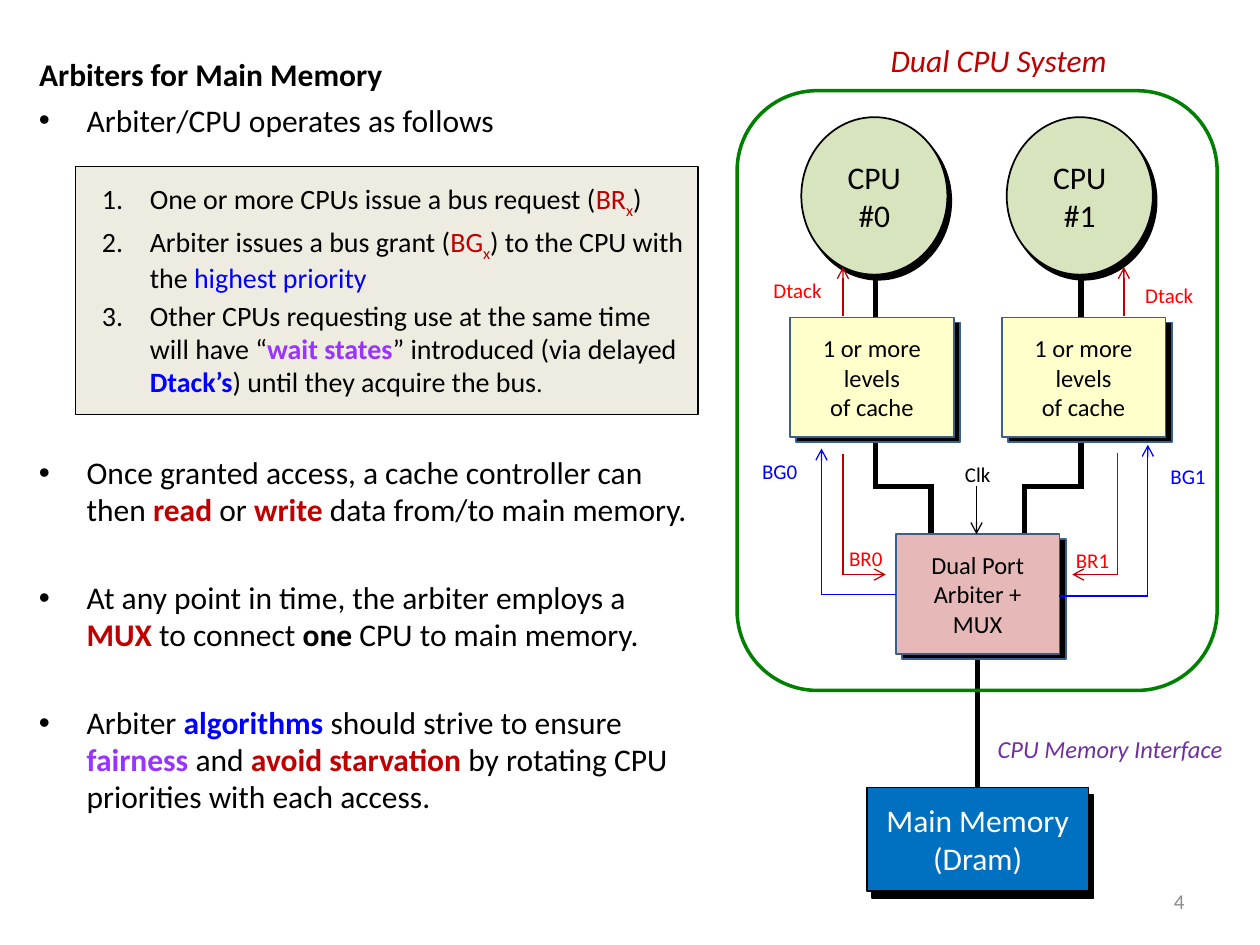
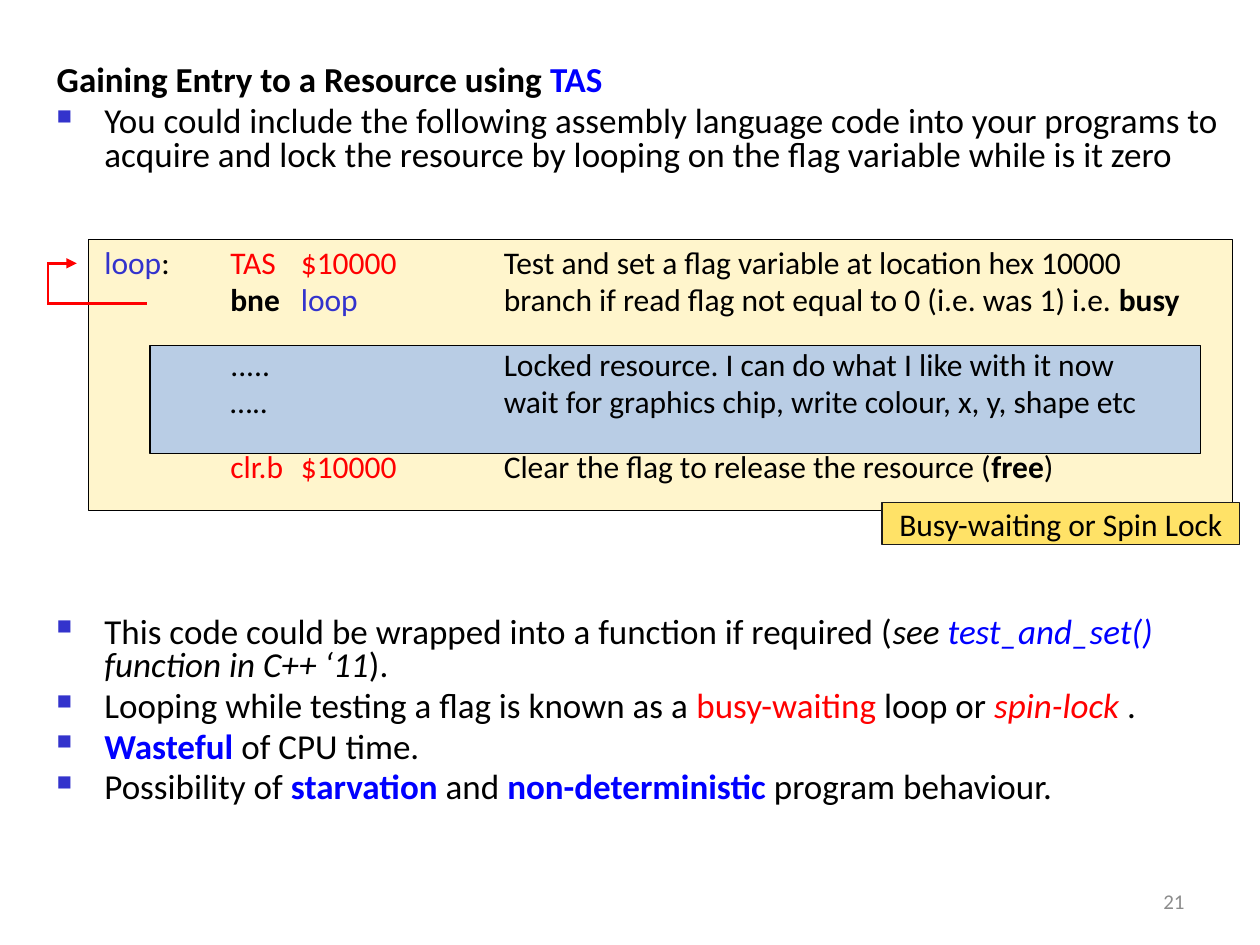
import pptx
import pptx.util
import pptx.dml.color
import pptx.enum.shapes
import pptx.enum.text
import pptx.oxml
import pptx.oxml.ns

Inches, Pt = pptx.util.Inches, pptx.util.Pt
SHAPE = pptx.enum.shapes.MSO_SHAPE
ALIGN = pptx.enum.text.PP_ALIGN
ANCHOR = pptx.enum.text.MSO_ANCHOR
FONT = "Calibri"

COLORS = {
    "black": "000000", "white": "FFFFFF", "grey": "8C8C8C", "red": "FF0000",
    "dark red": "C00000", "blue": "0000FF", "indigo": "3333CC", "violet": "9933FF",
    "purple": "7030A0", "green": "008000", "edge": "3A5F8C", "beige": "EEECE1",
    "cpu": "D7E4BD", "cache": "FFFFCC", "arbiter": "E6B9B8", "memory": "0070C0",
    "code": "FFF5CC", "locked": "B9CDE5", "tag": "FFE267", "tag edge": "1C1C1C",
}

# Run styles
RED = {"color": "dark red"}
SUB = {"color": "dark red", "baseline": -25000}
BRIGHT = {"color": "red"}
BLUE = {"color": "blue"}
INDIGO = {"color": "indigo"}
BOLD = {"bold": True}
ITALIC = {"italic": True}
BOLD_RED, BOLD_BLUE = {**RED, **BOLD}, {**BLUE, **BOLD}
BOLD_VIOLET = {"color": "violet", **BOLD}

# Content: a paragraph is a string or a list of strings and (string, style) pairs
ARBITER_TITLE = ["Arbiters for Main Memory"]
ARBITER_INTRO = ["Arbiter/CPU operates as follows"]
ARBITER_STEPS = [
    ["One or more CPUs issue a bus request (", ("BR", RED), ("x", SUB), ")"],
    ["Arbiter issues a bus grant (", ("BG", RED), ("x", SUB), ") to the CPU with the ",
     ("highest priority", BLUE)],
    ["Other CPUs requesting use at the same time will have “", ("wait states", BOLD_VIOLET),
     "” introduced (via delayed ", ("Dtack’s", BOLD_BLUE), ") until they acquire the bus",
     (".", {"size": 14})],
]
ARBITER_POINTS = [
    ["Once granted access, a cache controller can then ", ("read", BOLD_RED), " or ",
     ("write", BOLD_RED), " data from/to main memory."],
    ["At any point in time, the arbiter employs a ", ("MUX ", BOLD_RED), "to connect ",
     ("one", BOLD), " CPU to main memory."],
    ["Arbiter ", ("algorithms", BOLD_BLUE), " should strive to ensure ",
     ("fairness", BOLD_VIOLET), " and ", ("avoid starvation", BOLD_RED),
     " by rotating CPU priorities with each access."],
]
# text, left, top, width, size, style
DIAGRAM_LABELS = [
    ("Dual CPU System", 6.97, 0.28, 1.93, 18, {**RED, **ITALIC}),
    ("CPU Memory Interface", 7.82, 5.78, 2.0, 14, {"color": "purple", **ITALIC}),
    ("BG0", 5.95, 3.59, 0.49, 12, BLUE),
    ("BG1", 9.19, 3.63, 0.49, 12, BLUE),
    ("Clk", 7.56, 3.61, 0.41, 12, {}),
    ("BR0", 6.64, 4.28, 0.47, 12, BRIGHT),
    ("BR1", 8.44, 4.3, 0.47, 12, BRIGHT),
    ("Dtack", 6.04, 2.15, 0.58, 12, BRIGHT),
    ("Dtack", 8.99, 2.19, 0.58, 12, BRIGHT),
]
# points, colour
BUSES = [
    [(7.76, 6.54), (7.76, 4.83)],
    [(6.95, 1.76), (6.95, 3.86), (7.39, 3.86), (7.39, 4.56)],
    [(8.58, 1.76), (8.58, 3.86), (8.13, 3.86), (8.13, 4.56)],
]
SIGNALS = [
    ([(7.11, 4.72), (6.52, 4.72), (6.52, 3.56)], "blue"),
    ([(8.41, 4.73), (9.11, 4.73), (9.11, 3.53)], "blue"),
    ([(6.69, 3.61), (6.69, 4.56), (7.03, 4.56)], "dark red"),
    ([(8.87, 3.6), (8.87, 4.56), (8.51, 4.56)], "dark red"),
    ([(6.69, 2.5), (6.69, 2.12)], "dark red"),
    ([(8.92, 2.5), (8.92, 2.12)], "dark red"),
    ([(7.75, 3.86), (7.75, 4.24)], "black"),
]
# kind, text, box, fill, line, shadow offset, font size, font colour
UNITS = [
    *[(SHAPE.OVAL, [f"CPU #{n}"], (x, 0.93, 1.16, 1.25), "cpu", "black", (0.03, 0.04),
       18, "black") for n, x in enumerate((6.36, 7.99))],
    *[(SHAPE.RECTANGLE, ["1 or more levels", "of cache"], (x, 2.52, 1.3, 0.95), "cache",
       "edge", (0.05, 0.04), 14, "black") for x in (6.27, 7.95)],
    (SHAPE.RECTANGLE, ["Dual Port Arbiter + MUX"], (7.11, 4.24, 1.3, 0.95), "arbiter",
     "edge", (0.05, 0.04), 14, "black"),
    (SHAPE.RECTANGLE, ["Main Memory (Dram)"], (6.88, 6.25, 1.76, 0.82), "memory",
     "black", (0.04, 0.06), 18, "white"),
]

TAS_TITLE = [["Gaining Entry to a Resource using ", ("TAS", BLUE)]]
TAS_INTRO = ["You could include the following assembly language code into your programs to "
             "acquire and lock the resource by looping on the flag variable while is it zero"]
# Columns: label, instruction, operand, comment
TAS_CODE = [
    [("loop", INDIGO), ":\t", ("TAS\t$10000", BRIGHT),
     "\tTest and set a flag variable at location hex 10000"],
    ["\t", ("bne", BOLD), "\t", ("loop", INDIGO),
     "\tbranch if read flag not equal to 0 (i.e. was 1) i.e. ", ("busy", BOLD)],
    "\t.....\t\tLocked resource. I can do what I like with it now",
    "\t…..\t\twait for graphics chip, write colour, x, y, shape etc",
    ["\t", ("clr.b\t$10000", BRIGHT), "\tClear the flag to release the resource (",
     ("free", BOLD), ")"],
]
CODE_TABS = (1.0, 1.56, 3.17)
CODE_GAPS = {2: 20, 4: 20}
TAS_POINTS = [
    ["This code could be wrapped into a function if required (", ("see ", ITALIC),
     ("test_and_set()", {**BLUE, **ITALIC}), (" function in C++ ‘11", ITALIC), ")."],
    ["Looping while testing a flag is known as a ", ("busy-waiting", BRIGHT), " loop or ",
     ("spin-lock", {**BRIGHT, **ITALIC}), " ."],
    [("Wasteful", BOLD_BLUE), " of CPU time."],
    ["Possibility of ", ("starvation ", BOLD_BLUE), "and ",
     ("non-deterministic ", BOLD_BLUE), "program behaviour."],
]

# Paragraph properties that need XML
DOT = '<a:buFont {ns} typeface="Arial"/>', '<a:buChar {ns} char="•"/>'
NUMBER = ('<a:buFont {ns} typeface="+mj-lt"/>', '<a:buAutoNum {ns} type="arabicPeriod"/>')
SQUARE = (f'<a:buClr {{ns}}><a:srgbClr val="{COLORS["indigo"]}"/></a:buClr>',
          '<a:buSzPct {ns} val="60000"/>', '<a:buChar {ns} char="■"/>')


def add_xml(parent, *fragments):
    for fragment in fragments:
        parent.append(pptx.oxml.parse_xml(fragment.format(ns=pptx.oxml.ns.nsdecls("a"))))


def rgb(name):
    return pptx.dml.color.RGBColor.from_string(COLORS[name])


def write(frame, paragraphs, size=18, color="black", bold=False, italic=False,
          align=ALIGN.LEFT, anchor=ANCHOR.TOP, wrap=True, bullet=None, spacing=None,
          gap=0, gaps=None, tabs=()):
    frame.word_wrap, frame.vertical_anchor = wrap, anchor
    frame.auto_size = pptx.enum.text.MSO_AUTO_SIZE.NONE
    for i, runs in enumerate(paragraphs):
        para = frame.paragraphs[0] if i == 0 else frame.add_paragraph()
        para.alignment = align
        if spacing:
            para.line_spacing = spacing
        para.space_before = Pt((gaps or {}).get(i, gap) if i else 0)
        props = para._p.get_or_add_pPr()
        if bullet:
            props.set("marL", str(Inches(0.38)))
            props.set("indent", str(-Inches(0.38)))
            add_xml(props, *bullet)
        if tabs:
            stops = "".join(f'<a:tab pos="{Inches(t)}" algn="l"/>' for t in tabs)
            add_xml(props, f"<a:tabLst {{ns}}>{stops}</a:tabLst>")
        for part in [runs] if isinstance(runs, str) else runs:
            words, style = (part, {}) if isinstance(part, str) else part
            run = para.add_run()
            run.text = words
            run.font.name = FONT
            run.font.size = Pt(style.get("size", size))
            run.font.bold = style.get("bold", bold)
            run.font.italic = style.get("italic", italic)
            run.font.color.rgb = rgb(style.get("color", color))
            if "baseline" in style:
                run.font._element.set("baseline", str(style["baseline"]))


def add_text(slide, box, paragraphs, **fmt):
    write(slide.shapes.add_textbox(*map(Inches, box)).text_frame, paragraphs, **fmt)


def add_box(slide, kind, box, fill=None, line="black", width=0.75):
    shape = slide.shapes.add_shape(kind, *map(Inches, box))
    shape.shadow.inherit = False
    if fill:
        shape.fill.solid()
        shape.fill.fore_color.rgb = rgb(fill)
    else:
        shape.fill.background()
    shape.line.color.rgb = rgb(line)
    shape.line.width = Pt(width)
    return shape


def add_wire(slide, points, color="black", width=0.75, arrow=None):
    """Join the points with straight segments; the arrowhead goes on the last."""
    for start, end in zip(points, points[1:]):
        wire = slide.shapes.add_connector(
            pptx.enum.shapes.MSO_CONNECTOR.STRAIGHT, *map(Inches, (*start, *end)))
        wire.line.color.rgb = rgb(color)
        wire.line.width = Pt(width)
        outline = wire.line._get_or_add_ln()
        outline.set("cap", "sq")
        if arrow and end == points[-1]:
            add_xml(outline, f'<a:tailEnd {{ns}} type="{arrow}"/>')
        add_xml(wire._element.spPr, "<a:effectLst {ns}/>")


def add_slide(deck, title, box, number, **fmt):
    slide = deck.slides.add_slide(deck.slide_layouts[5])
    heading = slide.shapes.title
    heading.left, heading.top, heading.width, heading.height = map(Inches, box)
    write(heading.text_frame, title, bold=True, **fmt)
    add_text(slide, (7.17, 6.95, 2.33, 0.4), [str(number)], size=12, color="grey",
             align=ALIGN.RIGHT, anchor=ANCHOR.MIDDLE)
    return slide


def build_arbiter_slide(deck):
    slide = add_slide(deck, ARBITER_TITLE, (0.21, 0.39, 5.4, 0.4), 4)

    # Explanation
    add_text(slide, (0.21, 0.75, 5.4, 0.4), ARBITER_INTRO, bullet=DOT)
    steps = add_box(slide, SHAPE.RECTANGLE, (0.6, 1.32, 4.94, 1.97), "beige").text_frame
    steps.margin_left, steps.margin_right = Inches(0.21), Inches(0.05)
    steps.margin_top = Inches(0.12)
    write(steps, ARBITER_STEPS, size=16, bullet=NUMBER, gap=3.2, spacing=0.98)
    add_text(slide, (0.21, 3.56, 5.4, 3.1), ARBITER_POINTS, bullet=DOT, gap=29, spacing=0.98)

    # Dual CPU diagram
    for points in BUSES:
        add_wire(slide, points, width=3)
    for kind, words, box, fill, line, (dx, dy), size, color in UNITS:
        left, top, *extent = box
        add_box(slide, kind, (left + dx, top + dy, *extent), "black", line, 1)
        unit = add_box(slide, kind, box, fill, line, 1)
        write(unit.text_frame, words, size=size, color=color, align=ALIGN.CENTER,
              anchor=ANCHOR.MIDDLE)
    add_box(slide, SHAPE.ROUNDED_RECTANGLE, (5.85, 0.72, 3.81, 4.76), line="green", width=2)
    for points, color in SIGNALS:
        add_wire(slide, points, color, arrow="arrow")
    for words, left, top, width, size, style in DIAGRAM_LABELS:
        add_text(slide, (left, top, width, size / 45), [words], size=size, wrap=False, **style)


def build_tas_slide(deck):
    slide = add_slide(deck, TAS_TITLE, (0.35, 0.47, 9.42, 0.4), 21, size=20, spacing=0.8)
    points = {"size": 20, "spacing": 0.8, "gap": 4, "bullet": SQUARE}
    add_text(slide, (0.35, 0.8, 9.42, 0.7), TAS_INTRO, **points)

    # Code listing with its locked section and loop arrow
    add_box(slide, SHAPE.RECTANGLE, (0.7, 1.9, 9.08, 2.15), "code")
    add_box(slide, SHAPE.RECTANGLE, (1.19, 2.74, 8.34, 0.86), "locked")
    add_text(slide, (0.73, 1.94, 9.04, 2.0), TAS_CODE, spacing=0.8, gap=3.6,
             gaps=CODE_GAPS, tabs=CODE_TABS)
    add_wire(slide, [(1.16, 2.41), (0.38, 2.41), (0.38, 2.09), (0.61, 2.09)], "red", 1.5,
             "triangle")
    tag = add_box(slide, SHAPE.RECTANGLE, (7, 3.99, 2.84, 0.33), "tag", "tag edge")
    write(tag.text_frame, ["Busy-waiting or Spin Lock"], align=ALIGN.CENTER,
          anchor=ANCHOR.MIDDLE, wrap=False)

    add_text(slide, (0.35, 4.85, 9.42, 1.7), TAS_POINTS, **points)


def main():
    deck = pptx.Presentation()
    deck.slide_width, deck.slide_height = Inches(10), Inches(7.5)
    build_arbiter_slide(deck)
    build_tas_slide(deck)
    deck.save("out.pptx")


if __name__ == "__main__":
    main()
